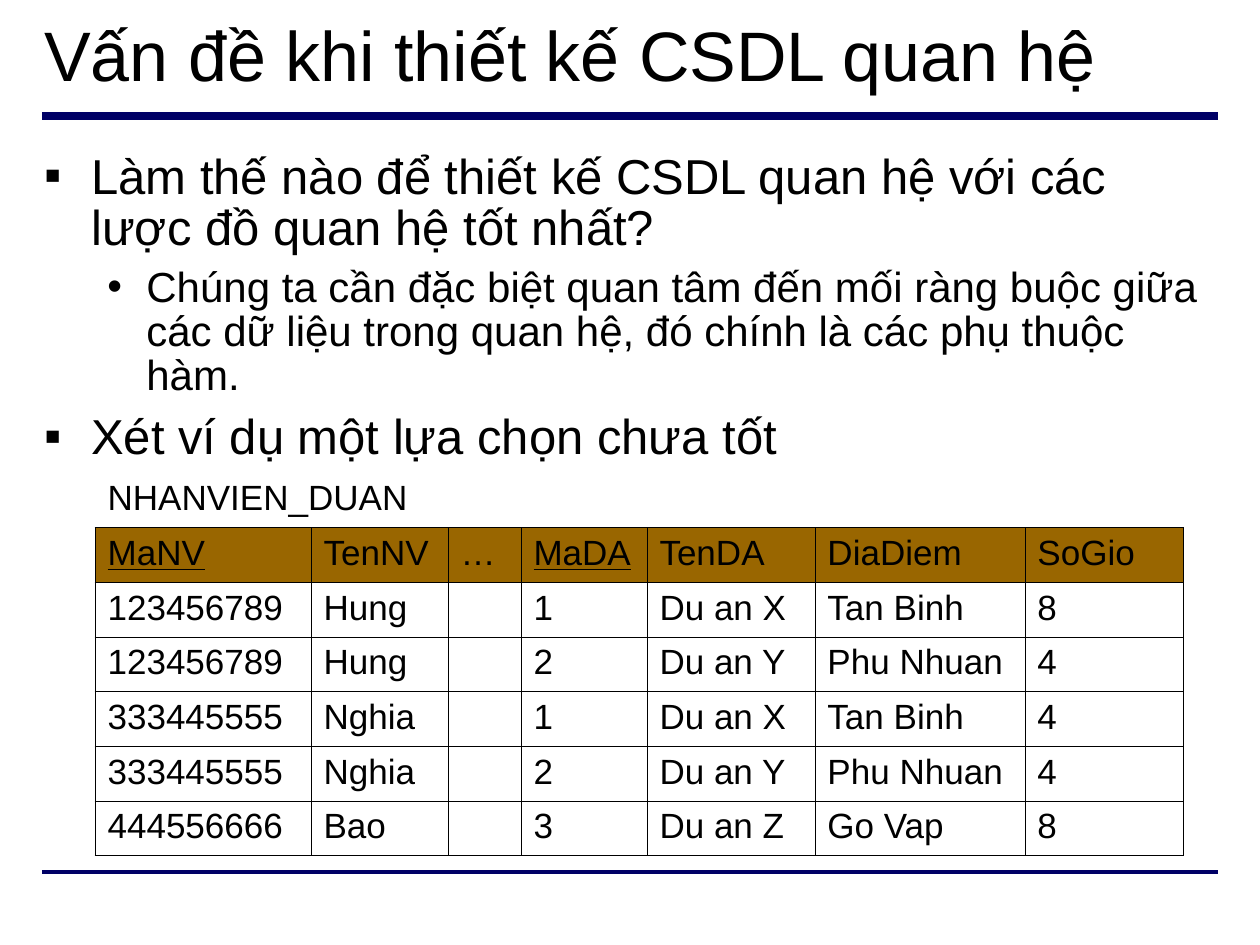
from lxml import etree
from pptx import Presentation
from pptx.dml.color import RGBColor
from pptx.enum.shapes import MSO_CONNECTOR
from pptx.enum.text import MSO_ANCHOR
from pptx.oxml.ns import qn
from pptx.util import Pt

STRAIGHT = MSO_CONNECTOR.STRAIGHT
MIDDLE = MSO_ANCHOR.MIDDLE
TOP = MSO_ANCHOR.TOP
BLACK = RGBColor(0, 0, 0)
NAVY = RGBColor(0, 0, 0x66)
BROWN = RGBColor(0x99, 0x66, 0)
FACE = "Arial"
SIDES = ("L", "R", "T", "B")
EDGE = 0.45

TITLE = "Vấn đề khi thiết kế CSDL quan hệ"
POINTS = [
    (0, "Làm thế nào để thiết kế CSDL quan hệ với các lược đồ quan hệ tốt nhất?"),
    (1, "Chúng ta cần đặc biệt quan tâm đến mối ràng buộc giữa các dữ liệu trong "
        "quan hệ, đó chính là các phụ thuộc hàm."),
    (0, "Xét ví dụ một lựa chọn chưa tốt"),
]
LEVELS = [("▪", 28, 8, 47, -47), ("•", 24, 7, 102, -39)]
KEYS = ("MaNV", "MaDA")
WIDTHS = [216, 137, 73, 126, 168, 210, 158]
ROWS = [
    ["NHANVIEN_DUAN", "", "", "", "", "", ""],
    ["MaNV", "TenNV", "…", "MaDA", "TenDA", "DiaDiem", "SoGio"],
    ["123456789", "Hung", "", "1", "Du an X", "Tan Binh", "8"],
    ["123456789", "Hung", "", "2", "Du an Y", "Phu Nhuan", "4"],
    ["333445555", "Nghia", "", "1", "Du an X", "Tan Binh", "4"],
    ["333445555", "Nghia", "", "2", "Du an Y", "Phu Nhuan", "4"],
    ["444556666", "Bao", "", "3", "Du an Z", "Go Vap", "8"],
]


def px(n):
    return round(n * 914400 / 126)


def style(para, size):
    para.font.name = FACE
    para.font.size = Pt(size)
    para.font.color.rgb = BLACK


def add_rule(slide, y, weight):
    rule = slide.shapes.add_connector(STRAIGHT, px(42), px(y), px(1218), px(y))
    rule.line.color.rgb = NAVY
    rule.line.width = Pt(weight)
    etree.SubElement(rule._element.spPr, qn("a:effectLst"))


def add_box(slide, y, height, anchor):
    box = slide.shapes.add_textbox(px(32), px(y), px(1197), px(height))
    frame = box.text_frame
    frame.word_wrap = True
    frame.vertical_anchor = anchor
    return frame


def add_title(slide):
    frame = add_box(slide, 11, 97, MIDDLE)
    frame.text = TITLE
    para = frame.paragraphs[0]
    para.line_spacing = 0.87
    style(para, 40)


def set_bullet(para, mark, left, indent):
    props = para._p.get_or_add_pPr()
    props.set("marL", str(px(left)))
    props.set("indent", str(px(indent)))
    color = etree.SubElement(props, qn("a:buClr"))
    etree.SubElement(color, qn("a:srgbClr"), val=str(BLACK))
    etree.SubElement(props, qn("a:buFont"), typeface=FACE)
    etree.SubElement(props, qn("a:buChar"), char=mark)


def add_points(slide):
    frame = add_box(slide, 147, 697, TOP)
    for i, (level, text) in enumerate(POINTS):
        para = frame.add_paragraph() if i else frame.paragraphs[0]
        mark, size, before, left, indent = LEVELS[level]
        para.text = text
        para.level = level
        set_bullet(para, mark, left, indent)
        para.line_spacing = 0.87
        if i:
            para.space_before = Pt(before)
        style(para, size)


def set_edges(cell, shown):
    props = cell._tc.get_or_add_tcPr()
    for i, side in enumerate(SIDES):
        edge = etree.Element(qn("a:ln" + side), w=str(Pt(EDGE)))
        if side in shown:
            fill = etree.SubElement(edge, qn("a:solidFill"))
            etree.SubElement(fill, qn("a:srgbClr"), val=str(BLACK))
        else:
            etree.SubElement(edge, qn("a:noFill"))
        props.insert(i, edge)


def fill_cell(cell, text, row):
    cell.text = text
    para = cell.text_frame.paragraphs[0]
    style(para, 20)
    if row == 1:
        cell.fill.solid()
        cell.fill.fore_color.rgb = BROWN
        for run in para.runs:
            run.font.underline = text in KEYS
    else:
        cell.fill.background()
    set_edges(cell, SIDES if row else ("B",))


def add_grid(slide):
    shape = slide.shapes.add_table(
        len(ROWS), len(WIDTHS), px(95), px(473), px(sum(WIDTHS)), px(382))
    table = shape.table
    table.first_row = False
    table.horz_banding = False
    for col, width in zip(table.columns, WIDTHS):
        col.width = px(width)
    for r, texts in enumerate(ROWS):
        for c, text in enumerate(texts):
            fill_cell(table.cell(r, c), text, r)
    table.cell(0, 0).merge(table.cell(0, 1))


def main():
    deck = Presentation()
    deck.slide_width = px(1260)
    deck.slide_height = px(945)
    slide = deck.slides.add_slide(deck.slide_layouts[6])
    add_rule(slide, 116, 4.5)
    add_rule(slide, 872, 2.25)
    add_title(slide)
    add_points(slide)
    add_grid(slide)
    deck.save("out.pptx")


if __name__ == "__main__":
    main()
